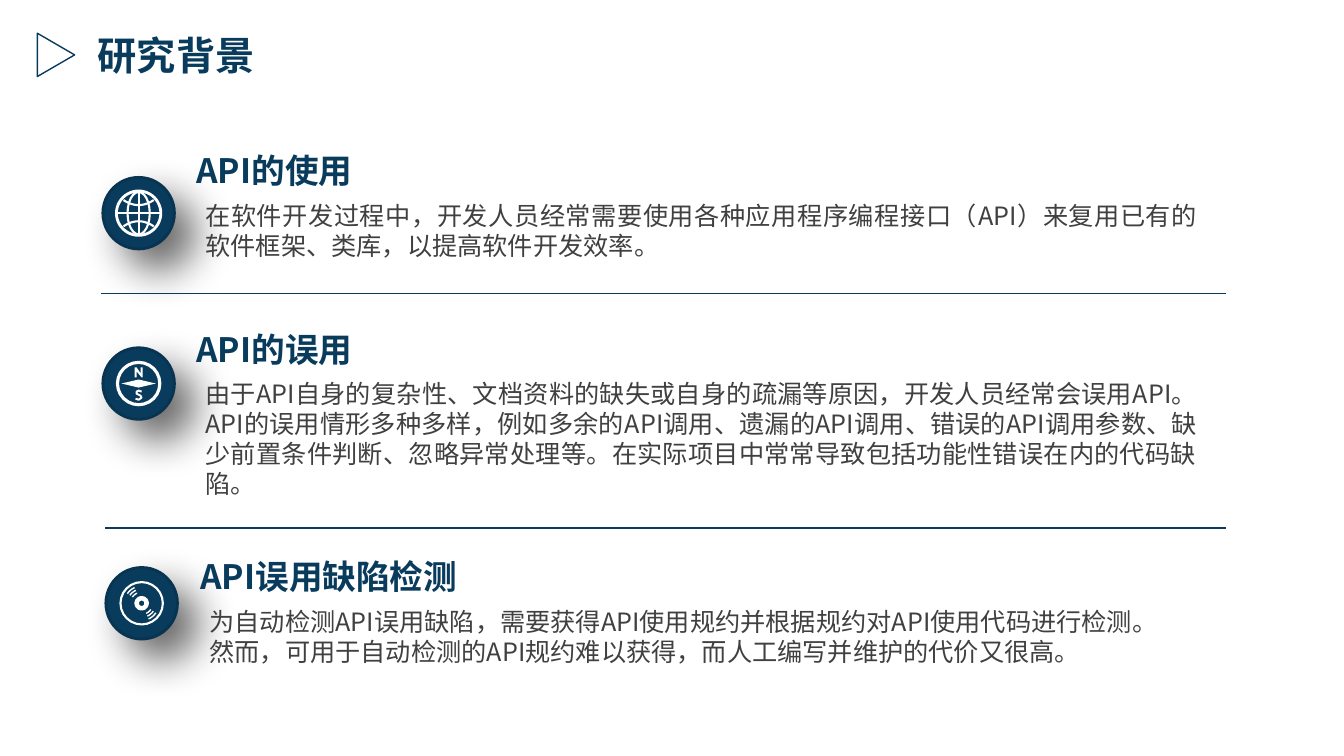
from dataclasses import dataclass
from math import cos, radians, sin

from lxml.etree import SubElement
from pptx import Presentation
from pptx.dml.color import RGBColor as Color
from pptx.enum.shapes import MSO_CONNECTOR as Connector, MSO_SHAPE as Shape
from pptx.enum.text import MSO_ANCHOR as Anchor, MSO_AUTO_SIZE as AutoSize, PP_ALIGN as Align
from pptx.oxml.ns import qn
from pptx.util import Inches, Pt


@dataclass(frozen=True)
class Theme:
    font: str = "Noto Sans CJK SC"
    navy: Color = Color(0x09, 0x3B, 0x5C)
    rim: Color = Color(0x08, 0x34, 0x51)
    gray: Color = Color(0x40, 0x40, 0x40)
    white: Color = Color(0xFF, 0xFF, 0xFF)
    title_size: int = 28
    heading_size: int = 24
    body_size: int = 18
    body_leading: float = 21.4


class SlideBuilder:
    def __init__(self, deck, theme):
        self.theme = theme
        self.page = deck.slides.add_slide(deck.slide_layouts[5])
        self.shapes = self.page.shapes

    def fill_text(self, box, lines, size, color, bold=False, align=Align.LEFT,
                  anchor=Anchor.MIDDLE, leading=None):
        frame = box.text_frame
        frame.word_wrap = True
        frame.auto_size = AutoSize.NONE
        frame.vertical_anchor = anchor
        for index, line in enumerate(lines):
            para = frame.add_paragraph() if index else frame.paragraphs[0]
            para.alignment = align
            if leading:
                para.line_spacing = Pt(leading)
            span = para.add_run()
            span.text = line
            span.font.name = self.theme.font
            span.font.size = Pt(size)
            span.font.bold = bold
            span.font.color.rgb = color
            east_asian = SubElement(span.font._element, qn("a:ea"))
            east_asian.set("typeface", self.theme.font)

    def title(self, text, left, top, width, height):
        box = self.shapes.title
        box.left, box.top, box.width, box.height = map(Inches, (left, top, width, height))
        self.fill_text(box, [text], self.theme.title_size, self.theme.navy, bold=True)

    def heading(self, text, left, top, width):
        box = self.shapes.add_textbox(*map(Inches, (left, top, width, 0.5)))
        self.fill_text(box, [text], self.theme.heading_size, self.theme.navy, bold=True)

    def body(self, lines, left, top, height):
        box = self.shapes.add_textbox(*map(Inches, (left, top, 10.03, height)))
        self.fill_text(box, lines, self.theme.body_size, self.theme.gray, align=Align.JUSTIFY,
                       anchor=Anchor.TOP, leading=self.theme.body_leading)

    def paint(self, shape, fill=None, line=None, weight=1.0):
        shape.shadow.inherit = False
        if fill is None:
            shape.fill.background()
        else:
            shape.fill.solid()
            shape.fill.fore_color.rgb = fill
        if line is None:
            shape.line.fill.background()
        else:
            shape.line.color.rgb = line
            shape.line.width = Pt(weight)
        return shape

    def preset(self, kind, left, top, width, height, **style):
        shape = self.shapes.add_shape(kind, *map(Inches, (left, top, width, height)))
        return self.paint(shape, **style)

    def oval(self, x, y, radius_x, radius_y, **style):
        return self.preset(Shape.OVAL, x - radius_x, y - radius_y,
                           2 * radius_x, 2 * radius_y, **style)

    def outline(self, points, close=False, **style):
        corners = [(Inches(x), Inches(y)) for x, y in points]
        builder = self.shapes.build_freeform(*corners[0])
        builder.add_line_segments(corners[1:], close=close)
        return self.paint(builder.convert_to_shape(), **style)

    def line(self, start, end, color, weight):
        rule = self.shapes.add_connector(Connector.STRAIGHT, *map(Inches, (*start, *end)))
        rule.line.color.rgb = color
        rule.line.width = Pt(weight)
        SubElement(rule._element.spPr, qn("a:effectLst"))

    def badge(self, left, top):
        disc = self.preset(Shape.OVAL, left, top, 0.71, 0.71, fill=self.theme.navy,
                           line=self.theme.rim, weight=2)
        effects = disc._element.spPr.find(qn("a:effectLst"))
        shadow = SubElement(effects, qn("a:outerShdw"), blurRad=str(Pt(30)), dist=str(Pt(20)),
                            dir=str(45 * 60000), algn="tl", rotWithShape="0")
        black = SubElement(shadow, qn("a:srgbClr"), val="000000")
        SubElement(black, qn("a:alpha"), val="60000")

    def globe(self, x, y):
        white = self.theme.white
        self.oval(x, y, 0.22, 0.22, line=white, weight=2)
        self.oval(x, y, 0.11, 0.21, line=white, weight=1.5)
        self.line((x - 0.21, y), (x + 0.21, y), white, 1.5)
        self.line((x, y - 0.21), (x, y + 0.21), white, 1.5)
        for side in (-1, 1):
            latitude = [(x + step * 0.03, y + side * (0.08 + 0.002 * step ** 2))
                        for step in range(-5, 6)]
            self.outline(latitude, line=white, weight=1.5)

    def compass(self, x, y):
        white = self.theme.white
        self.oval(x, y, 0.21, 0.21, line=white, weight=2.25)
        north = [(-0.02, -0.12), (0.03, -0.06), (0.04, -0.06), (0.04, -0.16), (0.02, -0.16),
                 (0.02, -0.1), (-0.02, -0.16), (-0.04, -0.16), (-0.04, -0.06), (-0.02, -0.06)]
        south = [(0.03, 0.08), (0, 0.07), (-0.02, 0.08), (-0.02, 0.1), (0.02, 0.12),
                 (0.03, 0.14), (0, 0.16), (-0.03, 0.15)]
        self.outline([(x + dx, y + dy) for dx, dy in north], close=True, fill=white)
        self.outline([(x + dx, y + dy) for dx, dy in south], line=white, weight=1.4)
        self.preset(Shape.DIAMOND, x - 0.17, y - 0.04, 0.34, 0.08, fill=white)

    def record(self, x, y):
        white = self.theme.white
        self.oval(x, y, 0.21, 0.21, line=white, weight=1.5)
        self.oval(x, y, 0.05, 0.05, line=white, weight=3.25)
        for first_angle in (34, 214):
            for radius in (0.11, 0.14, 0.17):
                angles = [radians(first_angle + step * 4) for step in range(9)]
                groove = [(x + radius * cos(angle), y + radius * sin(angle)) for angle in angles]
                self.outline(groove, line=white, weight=1)


def main():
    theme = Theme()
    deck = Presentation()
    deck.slide_width, deck.slide_height = Inches(13.33), Inches(7.5)
    slide = SlideBuilder(deck, theme)
    slide.title("研究背景", 0.87, 0.26, 3.6, 0.57)
    slide.preset(Shape.ISOSCELES_TRIANGLE, 0.34, 0.36, 0.43, 0.37,
                 line=theme.navy).rotation = 90

    sections = [
        (1.02, 1.76, slide.globe, 1.85, 1.44, 1.85, 0.71, "API的使用", [
            "在软件开发过程中，开发人员经常需要使用各种应用程序编程接口（API）来复用已有的"
            "软件框架、类库，以提高软件开发效率。"]),
        (1.02, 3.45, slide.compass, 1.85, 3.21, 1.85, 1.31, "API的误用", [
            "由于API自身的复杂性、文档资料的缺失或自身的疏漏等原因，开发人员经常会误用API。"
            "API的误用情形多种多样，例如多余的API调用、遗漏的API调用、错误的API调用参数、"
            "缺少前置条件判断、忽略异常处理等。在实际项目中常常导致包括功能性错误在内的代码缺陷。"]),
        (1.05, 5.63, slide.record, 1.89, 5.47, 3.4, 0.71, "API误用缺陷检测", [
            "为自动检测API误用缺陷，需要获得API使用规约并根据规约对API使用代码进行检测。",
            "然而，可用于自动检测的API规约难以获得，而人工编写并维护的代价又很高。"]),
    ]
    for badge_left, badge_top, icon, left, top, width, height, heading, lines in sections:
        slide.badge(badge_left, badge_top)
        icon(badge_left + 0.355, badge_top + 0.355)
        slide.heading(heading, left, top, width)
        slide.body(lines, left + 0.09, top + 0.5, height)

    for rule_left, rule_top in ((1, 2.91), (1.04, 5.24)):
        slide.line((rule_left, rule_top), (12.16, rule_top), theme.navy, 1)
    deck.save("out.pptx")


if __name__ == "__main__":
    main()
